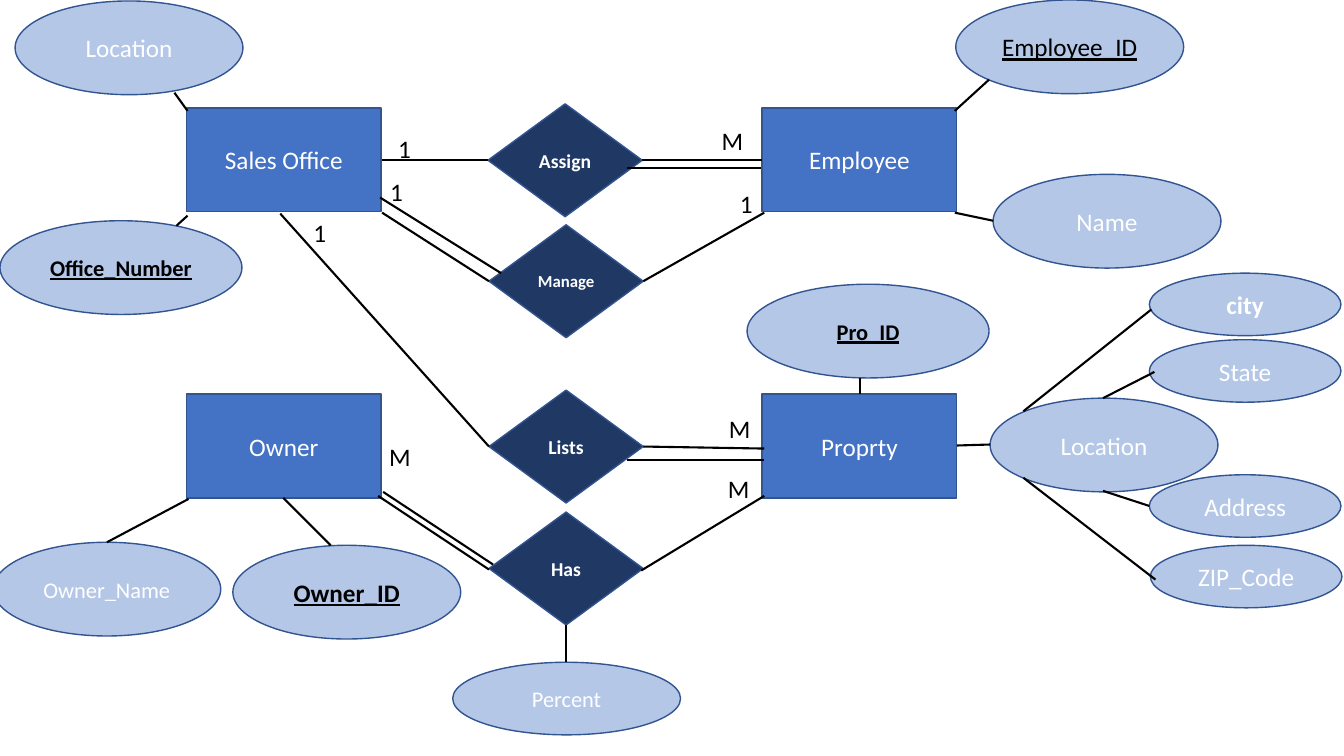
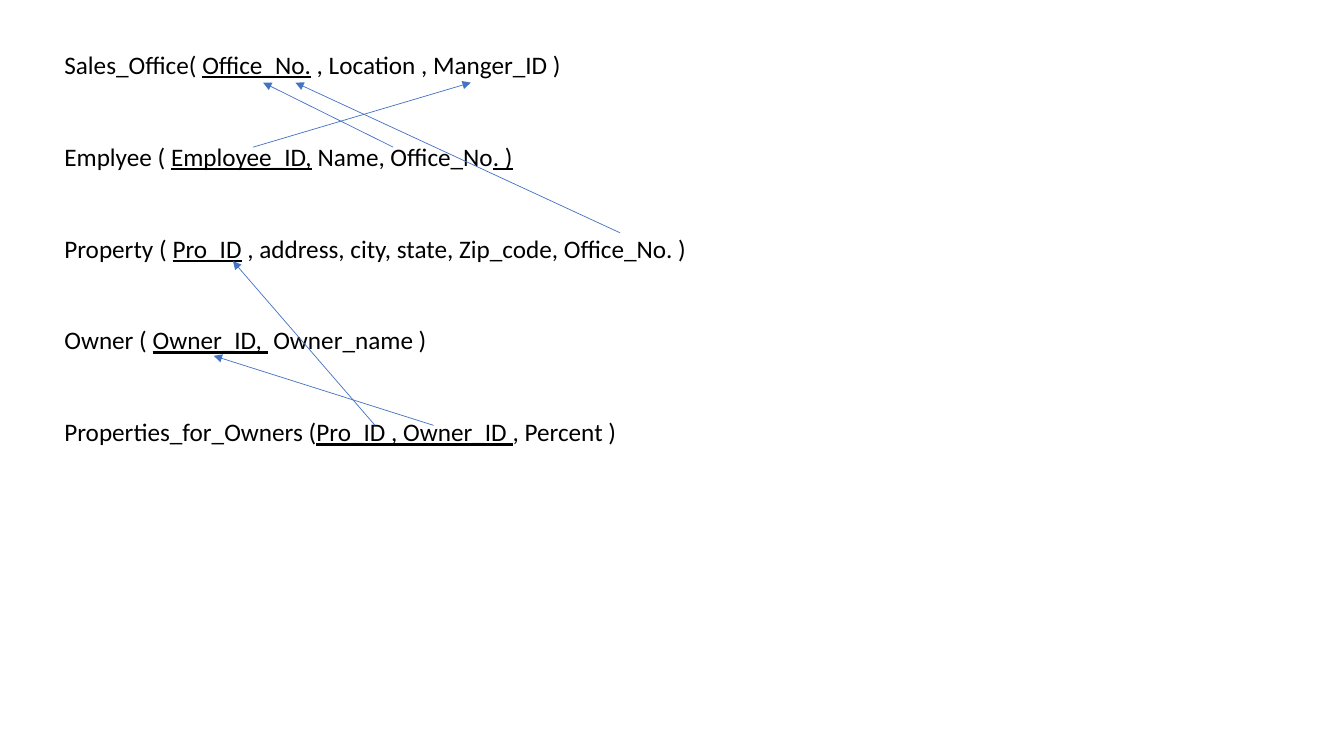
from lxml import etree
from pptx import Presentation
from pptx.dml.color import RGBColor
from pptx.enum.shapes import MSO_CONNECTOR, MSO_SHAPE
from pptx.enum.text import MSO_ANCHOR, PP_ALIGN
from pptx.oxml.ns import qn
from pptx.util import Inches, Pt

RECT, OVAL, DIAMOND = MSO_SHAPE.RECTANGLE, MSO_SHAPE.OVAL, MSO_SHAPE.DIAMOND
STRAIGHT = MSO_CONNECTOR.STRAIGHT
MIDDLE, CENTER = MSO_ANCHOR.MIDDLE, PP_ALIGN.CENTER

BLUE = RGBColor(0x44, 0x72, 0xC4)
PALE = RGBColor(0xB4, 0xC7, 0xE7)
NAVY = RGBColor(0x20, 0x38, 0x64)
EDGE = RGBColor(0x32, 0x54, 0x91)
WHITE = RGBColor(0xFF, 0xFF, 0xFF)
BLACK = RGBColor(0, 0, 0)
FONT = "Calibri"

ENTITY_SIZE = (1.93, 1.03)
RELATION_SIZE = (1.53, 1.12)
ATTRIBUTE_SIZE = (2.26, 0.93)
KEY_SIZE = (2.4, 0.93)
PART_SIZE = (1.9, 0.62)
PERCENT_SIZE = (2.26, 0.72)

# name, left, top
ENTITIES = [
    ("Sales Office", 1.85, 1.07),
    ("Employee", 7.56, 1.07),
    ("Owner", 1.85, 3.91),
    ("Proprty", 7.56, 3.91),
]

# name, left, top, text size
RELATIONS = [
    ("Assign", 4.84, 1.03, 14),
    ("Manage", 4.85, 2.23, 12),
    ("Lists", 4.85, 3.87, 14),
    ("Has", 4.85, 5.08, 14),
]

# name, left, top, shape size, text size, bold
ATTRIBUTES = [
    ("Location", 0.15, 0.01, ATTRIBUTE_SIZE, 18, False),
    ("Name", 9.85, 1.73, ATTRIBUTE_SIZE, 18, False),
    ("Owner_Name", -0.07, 5.38, ATTRIBUTE_SIZE, 16, False),
    ("Percent", 4.49, 6.57, PERCENT_SIZE, 16, False),
    ("Location", 9.82, 3.95, ATTRIBUTE_SIZE, 18, False),
    ("city", 11.4, 2.71, PART_SIZE, 18, True),
    ("State", 11.4, 3.37, PART_SIZE, 18, False),
    ("Address", 11.4, 4.71, PART_SIZE, 18, False),
    ("ZIP_Code", 11.41, 5.41, PART_SIZE, 18, False),
]
KEYS = [
    ("Employee_ID", 9.48, 0, ATTRIBUTE_SIZE, 18, False),
    ("Office_Number", 0, 2.19, KEY_SIZE, 16, True),
    ("Pro_ID", 7.41, 2.82, KEY_SIZE, 16, True),
    ("Owner_ID", 2.31, 5.41, ATTRIBUTE_SIZE, 18, True),
]

# x1, y1, x2, y2
RELATION_LINES = [
    (3.79, 1.59, 4.84, 1.59), (6.37, 1.59, 7.56, 1.59),
    (6.22, 1.67, 7.55, 1.67),
    (3.79, 2.11, 4.85, 2.79), (3.77, 1.96, 4.97, 2.71),
    (6.38, 2.79, 7.58, 2.11),
    (2.78, 2.12, 4.85, 4.43), (6.38, 4.43, 7.58, 4.45),
    (6.22, 4.56, 7.58, 4.56),
    (3.75, 4.92, 4.85, 5.65), (3.8, 4.88, 4.89, 5.6),
    (6.36, 5.66, 7.58, 4.92),
]
ATTRIBUTE_LINES = [
    (1.73, 0.92, 1.86, 1.1), (1.75, 2.24, 1.86, 2.14),
    (9.47, 1.1, 9.81, 0.79), (9.47, 2.11, 9.85, 2.19),
    (1.06, 5.38, 1.87, 4.95), (2.81, 4.94, 3.28, 5.41),
    (8.53, 3.75, 8.53, 3.91), (9.49, 4.42, 9.82, 4.41),
    (5.61, 6.2, 5.61, 6.57),
    (10.15, 4.08, 11.42, 3.07), (10.94, 3.95, 11.45, 3.69),
    (10.94, 4.87, 11.4, 5.02), (10.15, 4.74, 11.46, 5.75),
]

# text, left, top
CARDINALITIES = [
    ("1", 3.85, 1.27), ("M", 7.06, 1.19),
    ("1", 3.77, 1.7), ("1", 7.24, 1.82),
    ("1", 3.01, 2.11), ("M", 7.13, 4.05),
    ("M", 3.76, 4.33), ("M", 7.12, 4.65),
]

# Each table as (text, underlined) runs
TABLES = [
    [("Sales_Office( ", False), ("Office_No.", True),
     (" , Location , Manger_ID ) ", False)],
    [("Emplyee ( ", False), ("Employee_ID,", True),
     (" Name, Office_No", False), (". )", True)],
    [("Property ( ", False), ("Pro_ID", True),
     (" , address, city, state, Zip_code, Office_No. )", False)],
    [("Owner ( ", False), ("Owner_ID, ", True), (" Owner_name )", False)],
    [("Properties_for_Owners (", False), ("Pro_ID , Owner_ID ", True),
     (", Percent )", False)],
]
FOREIGN_KEYS = [
    (3.9, 1.46, 2.61, 0.82), (2.51, 1.46, 4.67, 0.82),
    (6.15, 2.31, 2.93, 0.82), (3.72, 4.22, 2.31, 2.59),
    (4.3, 4.22, 2.12, 3.53),
]


def style_run(r, size, color, bold=False, underline=False):
    r.font.name = FONT
    r.font.size = Pt(size)
    r.font.color.rgb = color
    r.font.bold = bold
    r.font.underline = underline


def add_node(s, kind, text, left, top, size, fill, pt=18, color=WHITE,
             bold=False, underline=False):
    sp = s.shapes.add_shape(kind, Inches(left), Inches(top),
                            Inches(size[0]), Inches(size[1]))
    sp.shadow.inherit = False
    sp.fill.solid()
    sp.fill.fore_color.rgb = fill
    sp.line.color.rgb = EDGE
    sp.line.width = Pt(1)
    tf = sp.text_frame
    tf.text = text
    tf.word_wrap = False
    tf.vertical_anchor = MIDDLE
    p = tf.paragraphs[0]
    p.alignment = CENTER
    style_run(p.runs[0], pt, color, bold, underline)


def add_line(s, ends, color, width, arrow=False):
    line = s.shapes.add_connector(STRAIGHT, *[Inches(v) for v in ends])
    line.line.color.rgb = color
    line.line.width = Pt(width)
    if arrow:
        ln = line.line._get_or_add_ln()
        etree.SubElement(ln, qn("a:tailEnd"), type="triangle")
    etree.SubElement(line._element.spPr, qn("a:effectLst"))


def add_text_box(s, left, top, width, height):
    box = s.shapes.add_textbox(Inches(left), Inches(top),
                               Inches(width), Inches(height))
    box.text_frame.word_wrap = True
    return box.text_frame


def add_label(s, text, left, top):
    tf = add_text_box(s, left, top, 0.38, 0.4)
    tf.text = text
    style_run(tf.paragraphs[0].runs[0], 18, BLACK)


def build_er_diagram(s):
    for name, left, top in ENTITIES:
        add_node(s, RECT, name, left, top, ENTITY_SIZE, BLUE)
    for name, left, top, pt in RELATIONS:
        add_node(s, DIAMOND, name, left, top, RELATION_SIZE, NAVY, pt,
                 bold=True)
    for name, left, top, size, pt, bold in ATTRIBUTES:
        add_node(s, OVAL, name, left, top, size, PALE, pt, bold=bold)
    for name, left, top, size, pt, bold in KEYS:
        add_node(s, OVAL, name, left, top, size, PALE, pt, BLACK, bold,
                 underline=True)
    for ends in RELATION_LINES + ATTRIBUTE_LINES:
        add_line(s, ends, BLACK, 1.5)
    for text, left, top in CARDINALITIES:
        add_label(s, text, left, top)


def build_schema(s):
    tf = add_text_box(s, 0.54, 0.44, 7.47, 4.64)
    for i, table in enumerate(TABLES):
        p = tf.add_paragraph() if i else tf.paragraphs[0]
        # Two line heights between tables
        p.space_before = Pt(44 if i else 0)
        for text, underline in table:
            r = p.add_run()
            r.text = text
            style_run(r, 18, BLACK, underline=underline)
    for ends in FOREIGN_KEYS:
        add_line(s, ends, BLUE, 0.5, arrow=True)


def main():
    prs = Presentation()
    prs.slide_width, prs.slide_height = Inches(13.33), Inches(7.5)
    blank = prs.slide_layouts[6]
    for build in (build_er_diagram, build_schema):
        build(prs.slides.add_slide(blank))
    prs.save("out.pptx")


main()
